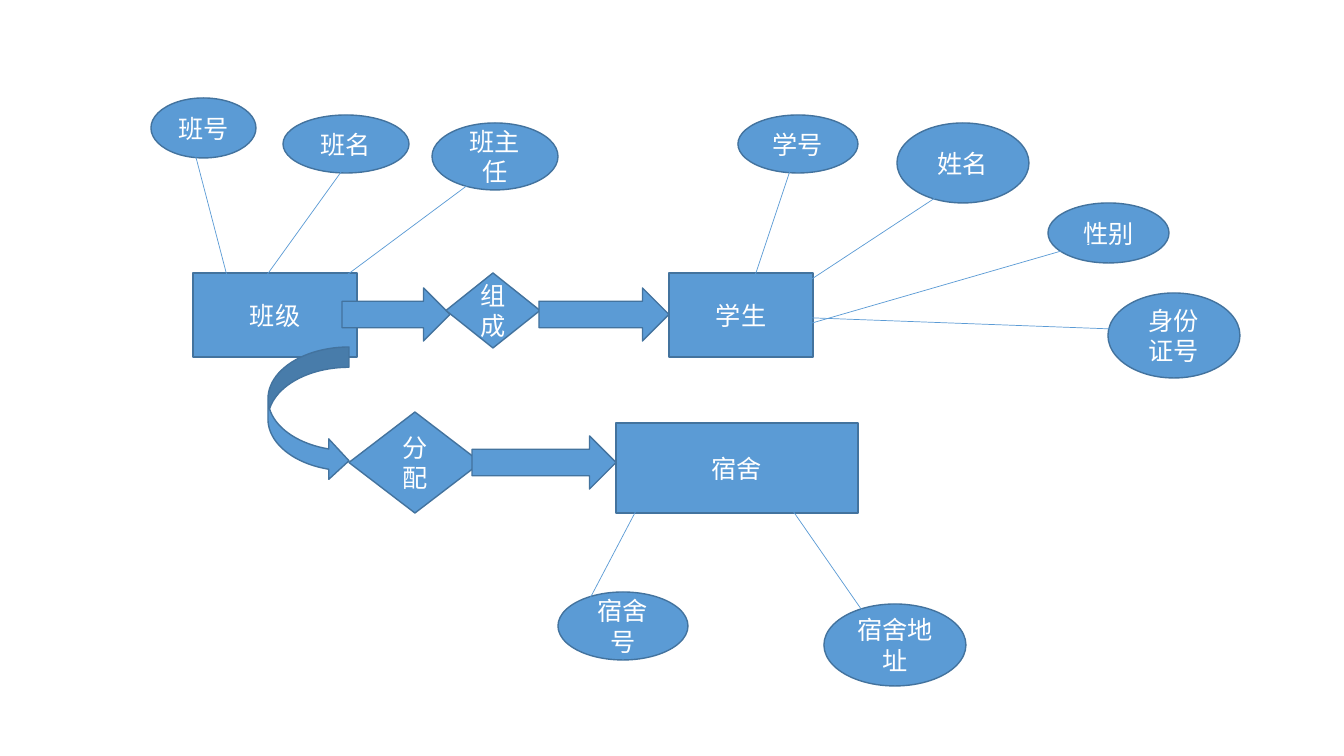
from lxml import etree
from pptx import Presentation
from pptx.dml.color import RGBColor
from pptx.enum.shapes import MSO_CONNECTOR, MSO_SHAPE
from pptx.enum.text import MSO_ANCHOR, PP_ALIGN
from pptx.oxml.ns import qn
from pptx.util import Pt

PIXEL = 914400 / 100.8
BLUE = RGBColor(0x5B, 0x9B, 0xD5)
OUTLINE = RGBColor(0x43, 0x73, 0x9E)
WHITE = RGBColor(0xFF, 0xFF, 0xFF)
STRAIGHT = MSO_CONNECTOR.STRAIGHT
CIRCLE = MSO_SHAPE.FLOWCHART_CONNECTOR
OVAL = MSO_SHAPE.OVAL
RECTANGLE = MSO_SHAPE.RECTANGLE
DIAMOND = MSO_SHAPE.DIAMOND
RIGHT_ARROW = MSO_SHAPE.RIGHT_ARROW
CURVED_ARROW = MSO_SHAPE.CURVED_RIGHT_ARROW
MIDDLE = MSO_ANCHOR.MIDDLE
CENTER = PP_ALIGN.CENTER


def emu(*pixels):
    """Turn pixel lengths into EMU."""
    return [round(pixel * PIXEL) for pixel in pixels]


class Diagram:
    """Entity-relationship drawing in one style on one page."""

    font, size = "Calibri", Pt(18)

    def __init__(self, page):
        """Keep the page to draw on."""
        self.page = page

    def node(self, kind, bounds, text=""):
        """Add a filled shape, with centred text if given."""
        box = self.page.shapes.add_shape(kind, *emu(*bounds))
        box.shadow.inherit = False
        box.fill.solid()
        box.fill.fore_color.rgb = BLUE
        box.line.color.rgb = OUTLINE
        box.line.width = Pt(1)
        if text:
            frame = box.text_frame
            frame.word_wrap = True
            frame.vertical_anchor = MIDDLE
            para = frame.paragraphs[0]
            para.text = text
            para.alignment = CENTER
            para.font.name = self.font
            para.font.size = self.size
            para.font.color.rgb = WHITE

    def link(self, start, end):
        """Add a thin line between an entity and an attribute."""
        line = self.page.shapes.add_connector(STRAIGHT, *emu(*start, *end))
        line.line.color.rgb = BLUE
        line.line.width = Pt(0.5)
        etree.SubElement(line._element.spPr, qn("a:effectLst"))


ENTITIES = [
    ("班级", (193, 273, 164, 84)),
    ("学生", (669, 273, 144, 84)),
    ("宿舍", (616, 423, 242, 90)),
]
# Attribute: text, shape, bounds, then the two ends of its link
ATTRIBUTES = [
    ("班号", CIRCLE, (151, 98, 105, 60), (193, 146), (231, 291)),
    ("班名", OVAL, (283, 115, 126, 58), (349, 161), (241, 311)),
    ("班主任", OVAL, (432, 123, 126, 67), (480, 176), (312, 301)),
    ("学号", OVAL, (738, 115, 120, 58), (750, 291), (796, 153)),
    ("姓名", OVAL, (897, 123, 132, 80), (786, 296), (967, 177)),
    ("性别", OVAL, (1048, 203, 121, 60), (781, 332), (1089, 243)),
    ("身份证号", OVAL, (1108, 293, 132, 85), (788, 317), (1113, 329)),
    ("宿舍号", OVAL, (558, 592, 130, 68), (648, 488), (586, 606)),
    ("宿舍地址", OVAL, (824, 604, 142, 82), (777, 488), (866, 616)),
]
RELATIONS = [
    (RIGHT_ARROW, (342, 288, 108, 53)),
    (DIAMOND, (446, 273, 94, 75), "组成"),
    (RIGHT_ARROW, (539, 288, 130, 53)),
    (CURVED_ARROW, (268, 347, 81, 134)),
    (DIAMOND, (349, 412, 132, 101), "分配"),
    (RIGHT_ARROW, (472, 436, 144, 53)),
]

deck = Presentation()
deck.slide_width, deck.slide_height = emu(1344, 756)
diagram = Diagram(deck.slides.add_slide(deck.slide_layouts[6]))

for name, bounds in ENTITIES:
    diagram.node(RECTANGLE, bounds, name)
for name, kind, bounds, start, end in ATTRIBUTES:
    diagram.node(kind, bounds, name)
    diagram.link(start, end)
for relation in RELATIONS:
    diagram.node(*relation)

deck.save("out.pptx")
